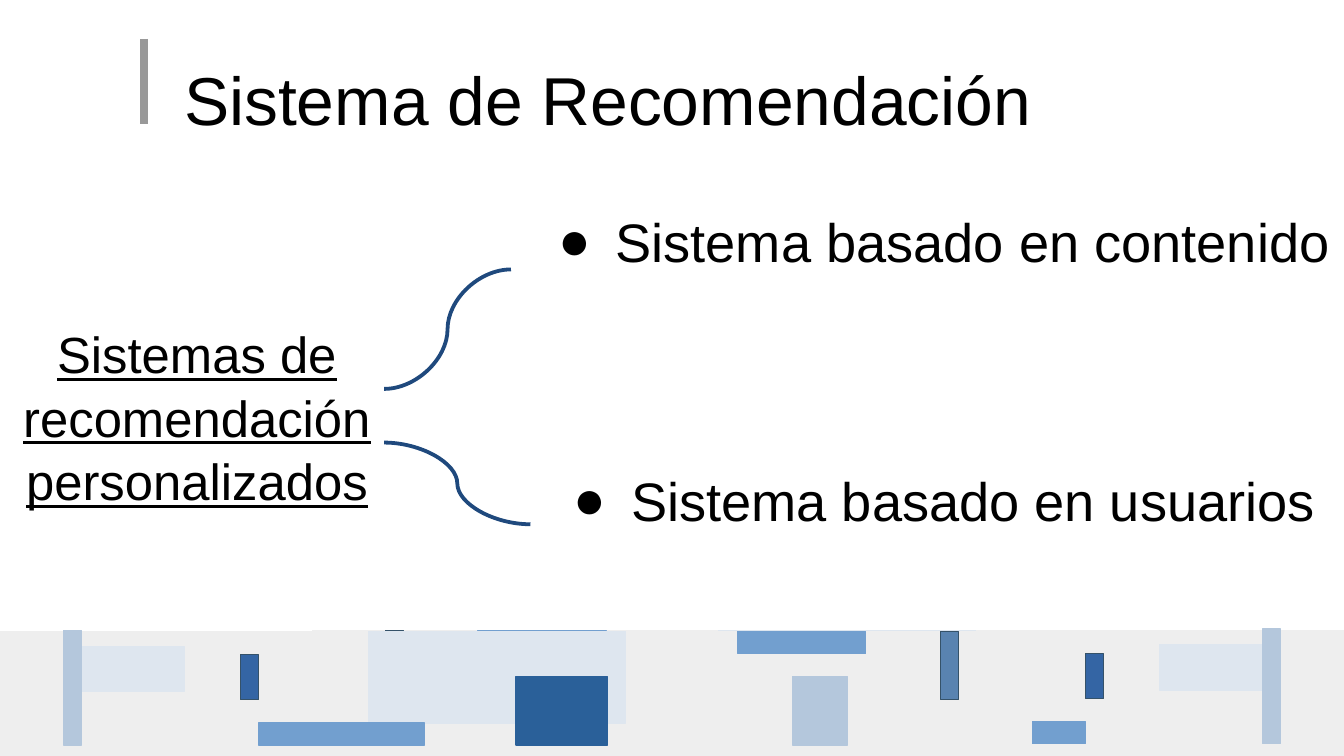
from lxml.etree import SubElement
from pptx import Presentation
from pptx.dml.color import RGBColor
from pptx.enum.shapes import MSO_CONNECTOR, MSO_SHAPE
from pptx.enum.text import MSO_ANCHOR, MSO_AUTO_SIZE, PP_ALIGN
from pptx.oxml.ns import qn
from pptx.util import Inches, Pt

COLORS = {
    "text": "000000", "curve": "1F497D", "accent": "999999", "band": "EEEEEE",
    "pale": "DEE6EF", "soft": "B4C7DC", "sky": "729FCF", "steel": "5983B0",
    "royal": "3465A4", "navy": "2A6099", "edge": "355269",
}
WIDTH, HEIGHT = 11.02, 6.2


def write(holder, text, size, align, top_inset, side_inset=0, anchor=MSO_ANCHOR.TOP):
    frame = holder.text_frame
    frame.text = text
    frame.word_wrap = True
    frame.auto_size = MSO_AUTO_SIZE.NONE
    frame.vertical_anchor = anchor
    frame.margin_left = frame.margin_right = Inches(side_inset)
    frame.margin_top, frame.margin_bottom = Inches(top_inset), 0
    paragraph = frame.paragraphs[0]
    paragraph.alignment = align
    paragraph.space_before = Pt(0)
    font = paragraph.runs[0].font
    font.name, font.size = "Arial", Pt(size)
    font.color.rgb = RGBColor.from_string(COLORS["text"])
    return paragraph


def connect(kind, start, end, color, weight):
    link = slide.shapes.add_connector(kind, *[Inches(v) for v in (*start, *end)])
    link.line.color.rgb = RGBColor.from_string(COLORS[color])
    link.line.width = Pt(weight)
    SubElement(link._element.spPr, qn("a:effectLst"))


prs = Presentation()
prs.slide_width, prs.slide_height = Inches(WIDTH), Inches(HEIGHT)
slide = prs.slides.add_slide(prs.slide_layouts[3])
title, content_based, user_based = slide.placeholders

# Footer pattern: left, top, width, height, fill, line, mirrored
blocks = [
    (0, 5.18, 8.46, 1.03, "band", "band", True),
    (0.61, 5.3, 0.9, 0.37, "pale", "pale", True),
    (1.97, 5.37, 0.15, 0.37, "royal", "edge", True),
    (0.52, 5.17, 0.15, 0.94, "soft", "soft", True),
    (3.02, 5.18, 2.11, 0.75, "pale", "pale", True),
    (4.23, 5.55, 0.75, 0.56, "navy", "navy", False),
    (7.71, 5.18, 0.15, 0.56, "steel", "edge", True),
    (6.05, 5.18, 1.05, 0.18, "sky", "sky", True),
    (6.5, 5.55, 0.45, 0.56, "soft", "soft", False),
    (2.12, 5.93, 1.36, 0.18, "sky", "sky", True),
]
mirror = [(WIDTH - x - w, y - 0.01, w, h, fill, line, True)
          for x, y, w, h, fill, line, mirrored in blocks if mirrored]
for x, y, w, h, fill, line, _ in mirror + blocks:
    block = slide.shapes.add_shape(
        MSO_SHAPE.RECTANGLE, Inches(x), Inches(y), Inches(w), Inches(h))
    block.shadow.inherit = False
    block.fill.solid()
    block.fill.fore_color.rgb = RGBColor.from_string(COLORS[fill])
    block.line.color.rgb = RGBColor.from_string(COLORS[line])
    block.line.width = Pt(0.75)

# Title with its accent bar
connect(MSO_CONNECTOR.STRAIGHT, (1.18, 0.32), (1.18, 1.02), "accent", 4.31)
title.left, title.top = Inches(1.51), Inches(0.25)
title.width, title.height = Inches(8.96), Inches(1.04)
write(title, "Sistema de Recomendación", 40, PP_ALIGN.LEFT, 0.08,
      anchor=MSO_ANCHOR.MIDDLE)

# Root topic
root_topic = slide.shapes.add_textbox(
    Inches(0.08), Inches(2.53), Inches(3.07), Inches(1.72))
root_line = write(root_topic, "Sistemas de recomendación personalizados", 30,
                  PP_ALIGN.CENTER, 0.1, side_inset=0.1)
root_line.line_spacing = 1.04
root_line.runs[0].font.underline = True

# Two kinds of system
branches = [
    (content_based, "Sistema basado en contenido", 3.39, 1.28, 7.52),
    (user_based, "Sistema basado en usuarios", 4.55, 3.4, 6.24),
]
for branch, text, x, y, w in branches:
    branch.left, branch.top = Inches(x), Inches(y)
    branch.width, branch.height = Inches(w), Inches(1.48)
    props = write(branch, text, 32, PP_ALIGN.RIGHT, 0.43)._p.get_or_add_pPr()
    props.set("marL", str(Inches(0.5)))
    props.set("indent", str(Inches(-0.47)))
    bullet_color = SubElement(props, qn("a:buClr"))
    SubElement(bullet_color, qn("a:srgbClr")).set("val", COLORS["text"])
    SubElement(props, qn("a:buFont")).set("typeface", "Arial")
    SubElement(props, qn("a:buChar")).set("char", "●")

# Curves from the root topic to each kind
connect(MSO_CONNECTOR.CURVE, (3.15, 3.19), (4.19, 2.21), "curve", 2.25)
connect(MSO_CONNECTOR.CURVE, (3.15, 3.63), (4.35, 4.3), "curve", 2.25)

prs.save("out.pptx")
